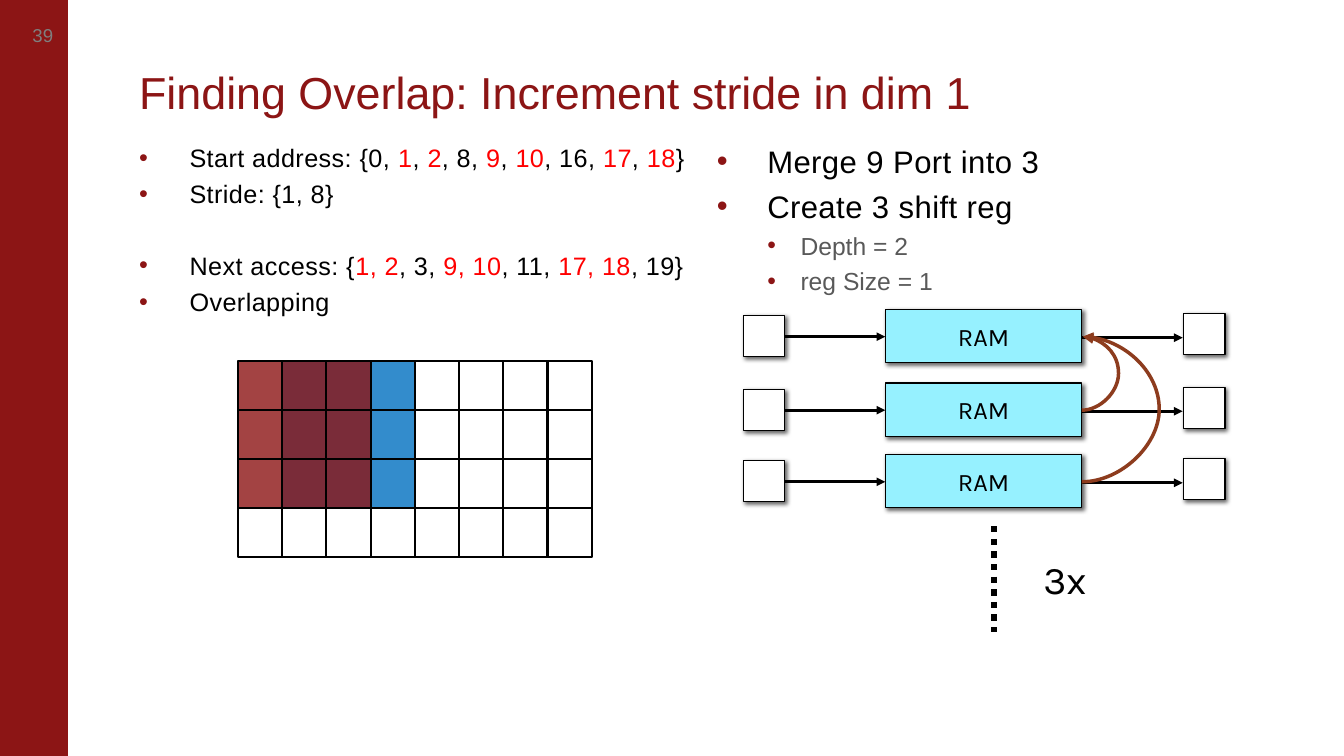
import pptx
import pptx.util
import pptx.dml.color
import pptx.enum.dml
import pptx.enum.shapes
import pptx.enum.text
import pptx.oxml
import pptx.oxml.ns

RGB = pptx.dml.color.RGBColor
Pt = pptx.util.Pt
ANCHOR = pptx.enum.text.MSO_ANCHOR
ALIGN = pptx.enum.text.PP_ALIGN
LINK = pptx.enum.shapes.MSO_CONNECTOR
RECT = pptx.enum.shapes.MSO_SHAPE.RECTANGLE

CARD = RGB(0x8C, 0x15, 0x15)
BLUE = RGB(0x00, 0x70, 0xC0)
CYAN = RGB(0x96, 0xF1, 0xFF)
RUST = RGB(0x8D, 0x3C, 0x1E)
RED = RGB(0xFF, 0x00, 0x00)
BLACK = RGB(0x00, 0x00, 0x00)
WHITE = RGB(0xFF, 0xFF, 0xFF)
GRAY = RGB(0x7F, 0x7F, 0x7F)
DARK = RGB(0x59, 0x59, 0x59)

SCALE = 9144  # EMU in one px, 100 px to the inch


def px(*nums):
    return [round(num * SCALE) for num in nums]


def node(tag, inner="", **attrs):
    """Build one drawing element."""
    pairs = "".join(f' {key}="{val}"' for key, val in attrs.items())
    space = pptx.oxml.ns.nsdecls("a")
    return pptx.oxml.parse_xml(f"<a:{tag} {space}{pairs}>{inner}</a:{tag}>")


def find(shape, tag):
    """Find a child of the shape's properties."""
    return shape.element.spPr.find(pptx.oxml.ns.qn(tag))


def write(para, text, size=18, color=BLACK, font="Arial", gap=0, align=None):
    """Add text to a paragraph; parts between bars are red."""
    para.alignment = align
    for num, part in enumerate(text.split("|")):
        run = para.add_run()
        run.text = part
        run.font.size = Pt(size)
        run.font.name = font
        run.font.color.rgb = RED if num % 2 else color
        if gap:
            run._r.get_or_add_rPr().set("spc", str(gap))


def frame(shape, pads, anchor=ANCHOR.TOP, wrap=True):
    """Set up the text frame of a shape."""
    body = shape.text_frame
    body.word_wrap = wrap
    body.vertical_anchor = anchor
    (body.margin_left, body.margin_top,
     body.margin_right, body.margin_bottom) = px(*pads)
    return body


def block(slide, box, fill=None, line=None, width=0.75, alpha=None, shade=False):
    """Add a rectangle."""
    shape = slide.shapes.add_shape(RECT, *px(*box))
    shape.shadow.inherit = False
    if fill is None:
        shape.fill.background()
    else:
        shape.fill.solid()
        shape.fill.fore_color.rgb = fill
    if line is None:
        shape.line.fill.background()
    else:
        shape.line.color.rgb = line
        shape.line.width = Pt(width)
    if alpha:
        find(shape, "a:solidFill")[0].append(node("alpha", val=alpha * 1000))
    if shade:
        drop = '<a:srgbClr val="000000"><a:alpha val="60000"/></a:srgbClr>'
        find(shape, "a:effectLst").append(
            node("outerShdw", drop, blurRad=Pt(3), dist=Pt(2), dir=2700000))
    return shape


def link(slide, ends, color=BLACK, width=2.08, kind=LINK.STRAIGHT, dash=None):
    """Add a line, with an arrowhead unless it is dashed."""
    line = slide.shapes.add_connector(kind, *px(*ends))
    line.line.color.rgb = color
    line.line.width = Pt(width)
    if dash:
        line.line.dash_style = dash
    else:
        find(line, "a:ln").append(node("tailEnd", type="triangle"))
    line.element.spPr.append(node("effectLst"))
    return line


def arc(slide, left, start, end, reach):
    """Add a curve that bulges right by the given reach."""
    curve = link(slide, (left, start, left + 1, end), RUST, 2.5, LINK.CURVE)
    geom = find(curve, "a:prstGeom")
    for old in list(geom):
        geom.remove(old)
    guide = f'<a:gd name="adj1" fmla="val {reach * 100000}"/>'
    geom.append(node("avLst", guide))


def side(slide, box):
    """Red side bar with the page number."""
    block(slide, box, CARD, CARD)
    left, top, wide, _ = box
    page = slide.shapes.add_textbox(*px(left + 9, top + 1, wide, 67))
    body = frame(page, (7, 0, 7, 0), ANCHOR.MIDDLE, False)
    write(body.paragraphs[0], "39", 13.3, GRAY, align=ALIGN.CENTER)


def head(slide, box):
    """Slide title."""
    title = slide.shapes.title
    title.left, title.top, title.width, title.height = px(*box)
    para = frame(title, (0, 5, 10, 5), ANCHOR.BOTTOM).paragraphs[0]
    para.line_spacing = 0.85
    write(para, "Finding Overlap: Increment stride in dim 1", 32, CARD,
          align=ALIGN.LEFT)


def points(slide, box, items):
    """Bulleted list; items hold text, size, level and space before."""
    body = frame(slide.shapes.add_textbox(*px(*box)), (0, 9, 0, 5))
    for num, (text, size, level, before) in enumerate(items):
        para = body.add_paragraph() if num else body.paragraphs[0]
        props = para._p.get_or_add_pPr()
        edge, hang = px(*((83, 33) if level else (50, 50)))
        props.set("marL", str(edge))
        props.set("indent", str(-hang))
        props.append(node("buClr", f'<a:srgbClr val="{CARD}"/>'))
        props.append(node("buFont", typeface="Arial"))
        props.append(node("buChar", char="•"))
        para.level = level
        para.space_before = Pt(before)
        write(para, text, size, DARK if level else BLACK, gap=0 if level else 30)


def grid(slide, box, cols=8, rows=4):
    """Address grid with the two overlapping windows."""
    left, top, wide, high = box
    cell, tall = wide / cols, high / rows
    for col, color in ((1, BLUE), (0, CARD)):
        block(slide, (left + col * cell, top, 3 * cell, 3 * tall), color, alpha=80)
    for row in range(rows):
        for col in range(cols):
            block(slide, (left + col * cell, top + row * tall, cell, tall),
                  line=BLACK, width=1.5)


def lane(slide, left, top):
    """One RAM with its input and output ports."""
    block(slide, (left, top + 6, 41, 41), WHITE, BLACK, shade=True)
    link(slide, (left + 41, top + 27, left + 141, top + 27))
    ram = block(slide, (left + 141, top, 195, 53), CYAN, BLACK, shade=True)
    body = frame(ram, (10, 5, 10, 5), ANCHOR.MIDDLE)
    write(body.paragraphs[0], "RAM", font="Karla", align=ALIGN.CENTER)
    link(slide, (left + 336, top + 28, left + 436, top + 28))
    block(slide, (left + 437, top + 4, 41, 41), WHITE, BLACK, shade=True)


def rams(slide, box):
    """Three RAM lanes, their shift links and the repeat mark."""
    left, top, _, high = box
    tops = [top, top + 73, top + 144]
    for spot in tops:
        lane(slide, left, spot)
    for spot, reach in zip(tops[1:], (37, 78)):
        arc(slide, left + 336, spot + 27, top + 27, reach)
    link(slide, (left + 249, top + 215, left + 249, top + high), width=4.5,
         dash=pptx.enum.dml.MSO_LINE.ROUND_DOT)
    note = slide.shapes.add_textbox(*px(left + 288, top + 239, 111, 57))
    write(frame(note, (10, 5, 10, 5)).paragraphs[0], "3x", 28, font="Karla")


def main():
    deck = pptx.Presentation()
    deck.slide_width, deck.slide_height = px(1333, 750)
    slide = deck.slides.add_slide(deck.slide_layouts[5])
    side(slide, (0, 0, 67, 751))
    head(slide, (138, 52, 1124, 71))
    points(slide, (138, 132, 552, 192), [
        ("Start address: {0, |1|, |2|, 8, |9|, |10|, 16, |17|, |18|}", 18, 0, 0),
        ("Stride: {1, 8}", 18, 0, 4.4),
        ("Next access: {|1, 2|, 3, |9, 10|, 11, |17, 18|, 19}", 18, 0, 29.5),
        ("Overlapping", 18, 0, 4.4)])
    points(slide, (711, 132, 551, 159), [
        ("Merge 9 Port into 3", 22.2, 0, 0),
        ("Create 3 shift reg", 22.2, 0, 5.6),
        ("Depth = 2", 17.6, 1, 4.2),
        ("reg Size = 1", 17.6, 1, 4.2)])
    grid(slide, (236, 358, 351, 195))
    rams(slide, (737, 307, 478, 320))
    deck.save("out.pptx")


if __name__ == "__main__":
    main()
